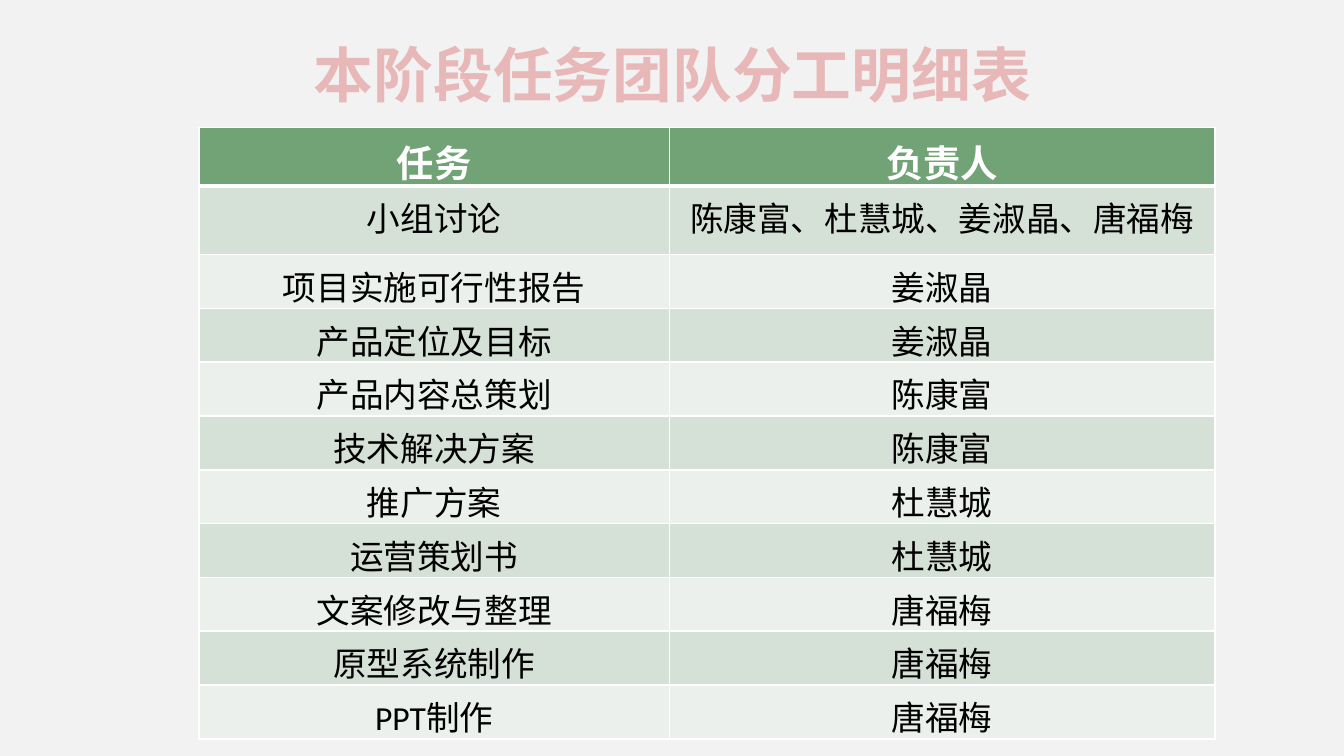
from dataclasses import dataclass
from lxml.etree import SubElement
from pptx import Presentation
from pptx.dml.color import RGBColor as RGB
from pptx.enum.text import PP_ALIGN as Align
from pptx.oxml.ns import qn
from pptx.util import Inches, Pt

TITLE = "本阶段任务团队分工明细表"
ROWS = [
    ("任务", "负责人"),
    ("小组讨论", "陈康富、杜慧城、姜淑晶、唐福梅"),
    ("项目实施可行性报告", "姜淑晶"),
    ("产品定位及目标", "姜淑晶"),
    ("产品内容总策划", "陈康富"),
    ("技术解决方案", "陈康富"),
    ("推广方案", "杜慧城"),
    ("运营策划书", "杜慧城"),
    ("文案修改与整理", "唐福梅"),
    ("原型系统制作", "唐福梅"),
    ("PPT制作", "唐福梅"),
]


@dataclass(frozen=True)
class Theme:
    font: str = "Calibri"
    page: str = "F2F2F2"
    title: str = "E8B7B7"
    header: str = "72A376"
    bands: tuple = ("D5E0D6", "EBF0EC")
    light: str = "FFFFFF"
    dark: str = "000000"
    title_size: int = 32
    header_size: int = 20
    body_size: int = 18
    rule: int = 1
    header_rule: int = 3


T = Theme()
W = 10
H = W * 9 / 16
TITLE_BOX = (2.13, 0.23, 5.75, 0.64)
LEFT, TOP = 1.48, 0.95
COLS = (3.5, 4.06)
HEIGHTS = [0.43, 0.51] + [0.4] * (len(ROWS) - 2)


def add_text(tf, text, size, color, bold):
    p = tf.paragraphs[0]
    p.alignment = Align.CENTER
    r = p.add_run()
    r.text = text
    r.font.name = T.font
    r.font.size = Pt(size)
    r.font.bold = bold
    r.font.color.rgb = RGB.from_string(color)


def set_borders(cell, widths):
    pr = cell._tc.get_or_add_tcPr()
    for i, (side, width) in enumerate(widths.items()):
        ln = pr.makeelement(qn(f"a:ln{side}"), {"w": str(Pt(width))})
        fill = SubElement(ln, qn("a:solidFill"))
        SubElement(fill, qn("a:srgbClr"), val=T.light)
        pr.insert(i, ln)


def add_title(s):
    tf = s.shapes.add_textbox(*map(Inches, TITLE_BOX)).text_frame
    tf.word_wrap = True
    add_text(tf, TITLE, T.title_size, T.title, True)


def add_task_table(s):
    box = map(Inches, (LEFT, TOP, sum(COLS), sum(HEIGHTS)))
    table = s.shapes.add_table(len(ROWS), len(COLS), *box).table
    for col, width in zip(table.columns, COLS):
        col.width = Inches(width)
    for i, (row, height) in enumerate(zip(table.rows, HEIGHTS)):
        row.height = Inches(height)
        head = i == 0
        fill = T.header if head else T.bands[(i - 1) % 2]
        size = T.header_size if head else T.body_size
        color = T.light if head else T.dark
        top = T.header_rule if i == 1 else T.rule
        bottom = T.header_rule if head else T.rule
        for cell, text in zip(row.cells, ROWS[i]):
            cell.fill.solid()
            cell.fill.fore_color.rgb = RGB.from_string(fill)
            set_borders(cell, {"L": T.rule, "R": T.rule, "T": top, "B": bottom})
            add_text(cell.text_frame, text, size, color, head)


def main():
    prs = Presentation()
    prs.slide_width, prs.slide_height = Inches(W), Inches(H)
    s = prs.slides.add_slide(prs.slide_layouts[6])
    s.background.fill.solid()
    s.background.fill.fore_color.rgb = RGB.from_string(T.page)
    add_title(s)
    add_task_table(s)
    prs.save("out.pptx")


if __name__ == "__main__":
    main()
